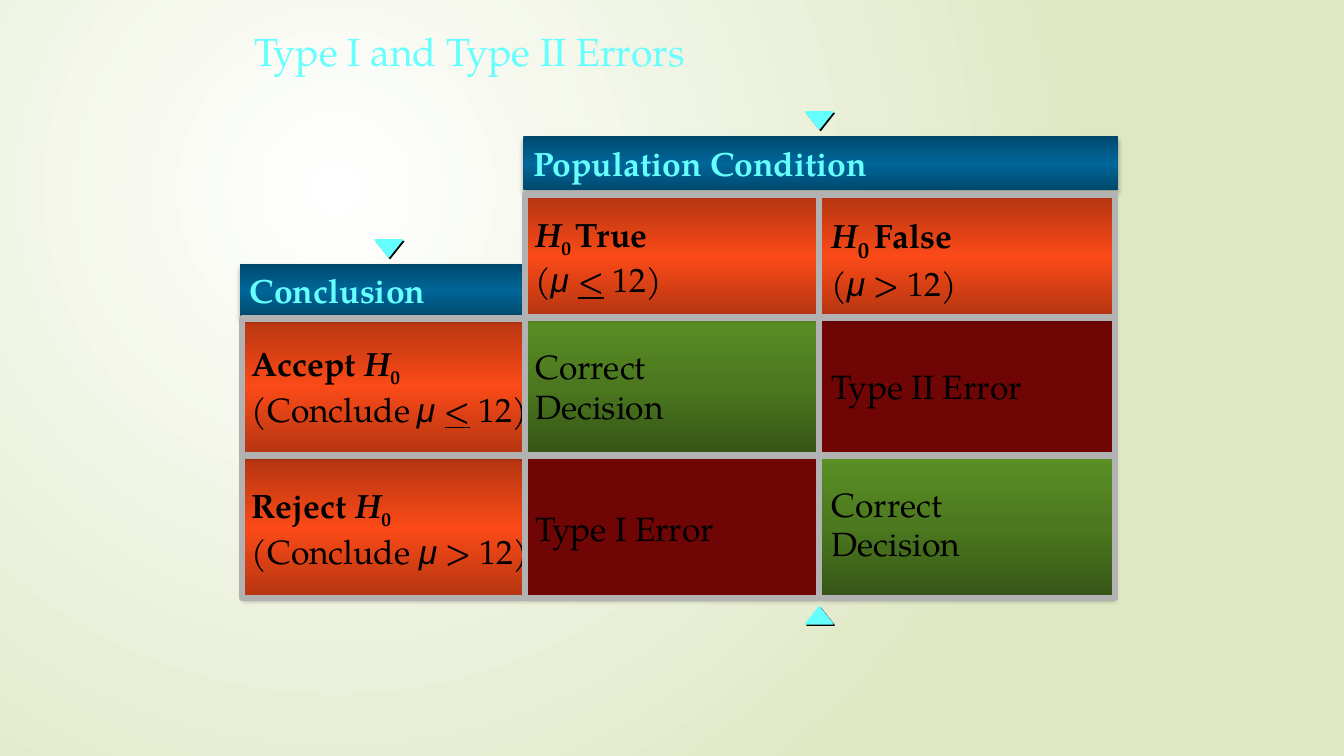
from lxml import etree
from pptx import Presentation, util as u
from pptx.dml.color import RGBColor
from pptx.enum import shapes, text
from pptx.oxml import parse_xml
from pptx.oxml.ns import nsdecls, qn

PX = 9144  # 100 px to the inch
FONT = "TeX Gyre Pagella"
COLORS = {
    "cyan": "66FFFF", "black": "000000", "error": "6F0505", "grid": "B2B2B2",
    "paper": ["FFFFFF", "DFE8C4"],
    "correct": ["355516", "4C781F", "5A8F25"],
    "label": ["B43511", "FB4A18", "B43511"],
    "header": ["00496D", "006699", "00496D"],
}
LINEAR = '<a:lin ang="{}" scaled="0"/>'
RADIAL = ('<a:path path="circle"><a:fillToRect l="50000" t="50000" '
          'r="100000" b="100000"/></a:path>')

COLUMNS = {"conclusion": (240, 279), "true": (521, 291), "false": (815, 291)}
ROWS = {"condition": (195, 119), "accept": (315, 136), "reject": (454, 139)}

BOLD, ITALIC = {"bold": True}, {"bold": True, "italic": True}
SUB, MU = {"bold": True, "baseline": -25}, {"font": "Arial", "italic": True}
UNDER = {"underline": True}
H, AT_MOST, ABOVE = ("H", ITALIC), ("<", UNDER), (" > 12)", {})
CORRECT = [[("Correct", {})], [("Decision", {})]]

CELLS = [  # column, row, colour, paragraphs of runs, paragraph format
    ("true", "accept", "correct", CORRECT, {}),
    ("false", "accept", "error", [[("Type II Error", {})]], {}),
    ("false", "reject", "correct", CORRECT, {"leading": 0.8, "before": 4.8}),
    ("true", "reject", "error", [[("Type I Error", {})]], {}),
    ("conclusion", "reject", "label",
     [[("Reject ", BOLD), H, ("0", SUB)],
      [("(Conclude ", {}), ("μ", MU), ABOVE]], {}),
    ("conclusion", "accept", "label",
     [[("Accept ", BOLD), H, ("0", SUB)],
      [("(Conclude", {}), (" ", {"size": 18}), ("μ ", MU), AT_MOST,
       (" 12)", {})]], {}),
    ("true", "condition", "label",
     [[H, ("0 ", SUB), ("True", BOLD)],
      [("(", {}), ("μ ", MU), AT_MOST, (" 12)", {})]], {}),
    ("false", "condition", "label",
     [[H, ("0 ", {**SUB, "size": 28}), ("False", BOLD)],
      [("(", {}), ("μ", MU), ABOVE]], {}),
]


def px(*lengths):
    return [u.Emu(length * PX) for length in lengths]


def rgb(name):
    return RGBColor.from_string(COLORS[name])


def add_run(paragraph, words, size=24, font=FONT, color="black", bold=False,
            italic=False, underline=False, baseline=0):
    run = paragraph.add_run()
    run.text = words
    run.font.size, run.font.name = u.Pt(size), font
    run.font.bold, run.font.italic = bold, italic
    run.font.underline = underline
    run.font.color.rgb = rgb(color)
    if baseline:
        run.font._element.set("baseline", str(baseline * 1000))


def write(shape, paragraphs, wrap=False, leading=None, before=0):
    """Fill a shape with paragraphs, each a list of (words, format) runs."""
    frame = shape.text_frame
    frame.word_wrap = wrap
    frame.vertical_anchor = text.MSO_ANCHOR.MIDDLE
    for index, runs in enumerate(paragraphs):
        paragraph = frame.add_paragraph() if index else frame.paragraphs[0]
        paragraph.alignment = text.PP_ALIGN.LEFT
        if leading:
            paragraph.line_spacing = leading
        if index and before:
            paragraph.space_before = u.Pt(before)
        for words, style in runs:
            add_run(paragraph, words, **style)


def paint_gradient(owner, fill, colors, direction):
    """Give the shape or slide that owns the fill evenly spaced stops."""
    fill.solid()
    fill.fore_color.rgb = rgb("black")
    stops = "".join(
        f'<a:gs pos="{100000 * i // (len(colors) - 1)}"><a:srgbClr val="{c}"/></a:gs>'
        for i, c in enumerate(colors))
    gradient = parse_xml(f'<a:gradFill {nsdecls("a")} rotWithShape="1">'
                         f'<a:gsLst>{stops}</a:gsLst>{direction}</a:gradFill>')
    solid = owner.element.xpath(".//a:solidFill")[0]
    solid.getparent().replace(solid, gradient)


def add_shadow(shape, opacity, blur, distance, angle):
    shape.shadow.inherit = False
    effects = shape.element.spPr.find(qn("a:effectLst"))
    effects.append(parse_xml(
        f'<a:outerShdw {nsdecls("a")} blurRad="{u.Pt(blur)}" dist="{u.Pt(distance)}" '
        f'dir="{angle * 60000}" algn="ctr" rotWithShape="0"><a:srgbClr val="000000">'
        f'<a:alpha val="{opacity * 1000}"/></a:srgbClr></a:outerShdw>'))


def add_panel(slide, box, color, paragraphs, **layout):
    panel = slide.shapes.add_shape(shapes.MSO_SHAPE.RECTANGLE, *px(*box))
    panel.line.fill.background()
    if isinstance(COLORS[color], list):
        angle = 270 if color == "correct" else 90
        paint_gradient(panel, panel.fill, COLORS[color],
                       LINEAR.format(angle * 60000))
    else:
        panel.fill.solid()
        panel.fill.fore_color.rgb = rgb(color)
    add_shadow(panel, 32, 3.5, 2.2, 90)
    write(panel, paragraphs, **layout)


def add_title(slide, box, words):
    title = slide.shapes.title
    title.left, title.top, title.width, title.height = px(*box)
    write(title, [[(words, {"size": 28, "color": "cyan"})]], wrap=True)


def add_decision_cells(slide):
    for column, row, color, paragraphs, layout in CELLS:
        left, width = COLUMNS[column]
        top, height = ROWS[row]
        add_panel(slide, (left, top, width, height), color, paragraphs, **layout)


def add_header(slide, box, words):
    add_panel(slide, box, "header", [[(words, {"bold": True, "color": "cyan"})]])


def style_rule(rule):
    rule.line.color.rgb = rgb("grid")
    rule.line.width = u.Pt(4.5)


def add_grid(slide, frame, rules):
    """Draw a framed group of rules, each given by its two end points."""
    left, top, width, height = frame
    grid = slide.shapes.add_group_shape().shapes
    border = grid.add_shape(shapes.MSO_SHAPE.RECTANGLE, *px(*frame))
    border.fill.background()
    border.shadow.inherit = False
    style_rule(border)
    for ends in rules:
        rule = grid.add_connector(shapes.MSO_CONNECTOR.STRAIGHT, *px(*ends))
        style_rule(rule)
        etree.SubElement(rule.element.spPr, qn("a:effectLst"))


def add_pointer(slide, left, top, upward=False):
    pointer = slide.shapes.add_shape(shapes.MSO_SHAPE.ISOSCELES_TRIANGLE,
                                     *px(left, top, 27, 17))
    pointer.rotation = 180
    if upward:
        pointer.element.spPr.find(qn("a:xfrm")).set("flipV", "1")
    pointer.fill.solid()
    pointer.fill.fore_color.rgb = rgb("cyan")
    pointer.line.color.rgb = rgb("cyan")
    pointer.line.width = u.Pt(1)
    add_shadow(pointer, 100, 0, 1.4, 45)


def build_errors_slide(deck):
    slide = deck.slides.add_slide(deck.slide_layouts[5])
    paint_gradient(slide, slide.background.fill, COLORS["paper"], RADIAL)
    add_title(slide, (242, 9, 850, 83), "Type I and Type II Errors")
    add_decision_cells(slide)
    add_header(slide, (238, 262, 281, 52), "Conclusion")
    add_header(slide, (519, 135, 590, 54), "Population Condition")
    add_grid(slide, (521, 193, 585, 400),
             [(812, 196, 812, 592), (520, 315, 1105, 315), (520, 452, 1105, 452)])
    add_grid(slide, (240, 316, 281, 277), [(241, 452, 520, 452)])
    add_pointer(slide, 372, 238)
    add_pointer(slide, 799, 111)
    add_pointer(slide, 799, 602, upward=True)


def main():
    deck = Presentation()
    deck.slide_width, deck.slide_height = px(1333, 750)
    build_errors_slide(deck)
    deck.save("out.pptx")


if __name__ == "__main__":
    main()
